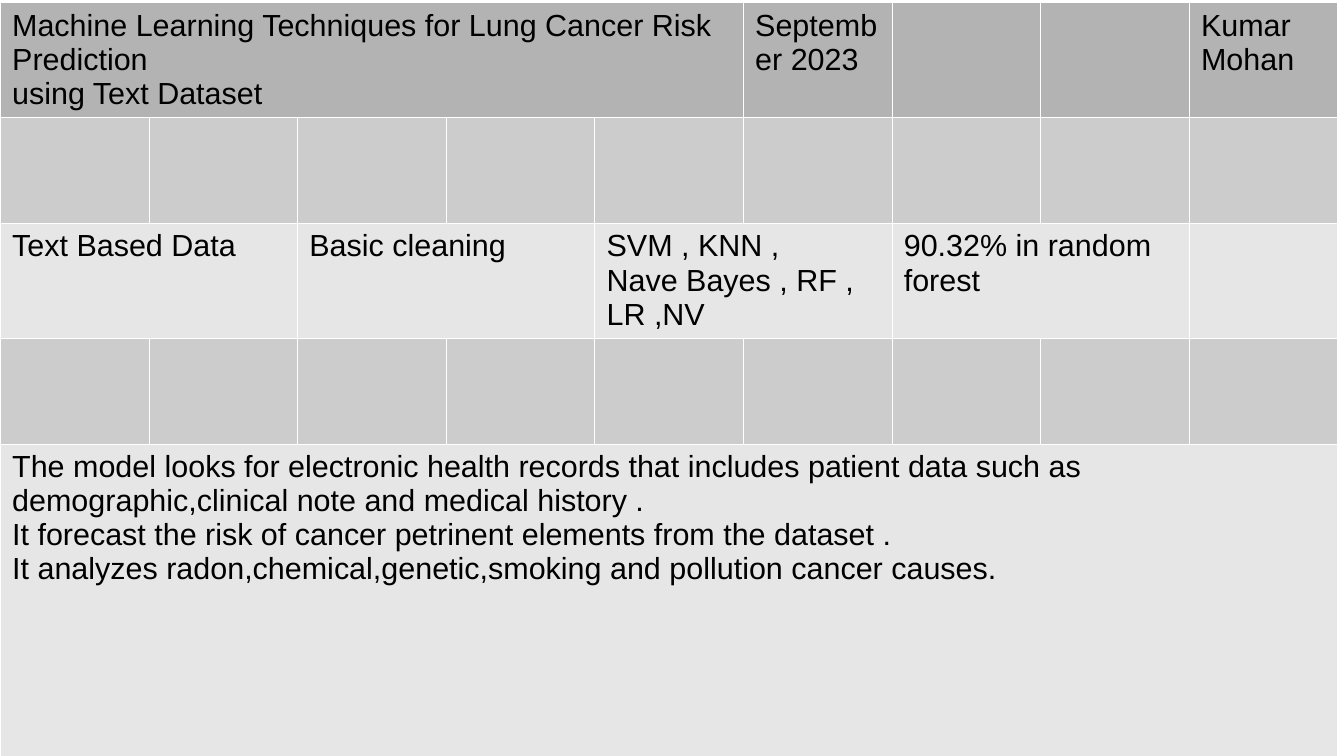
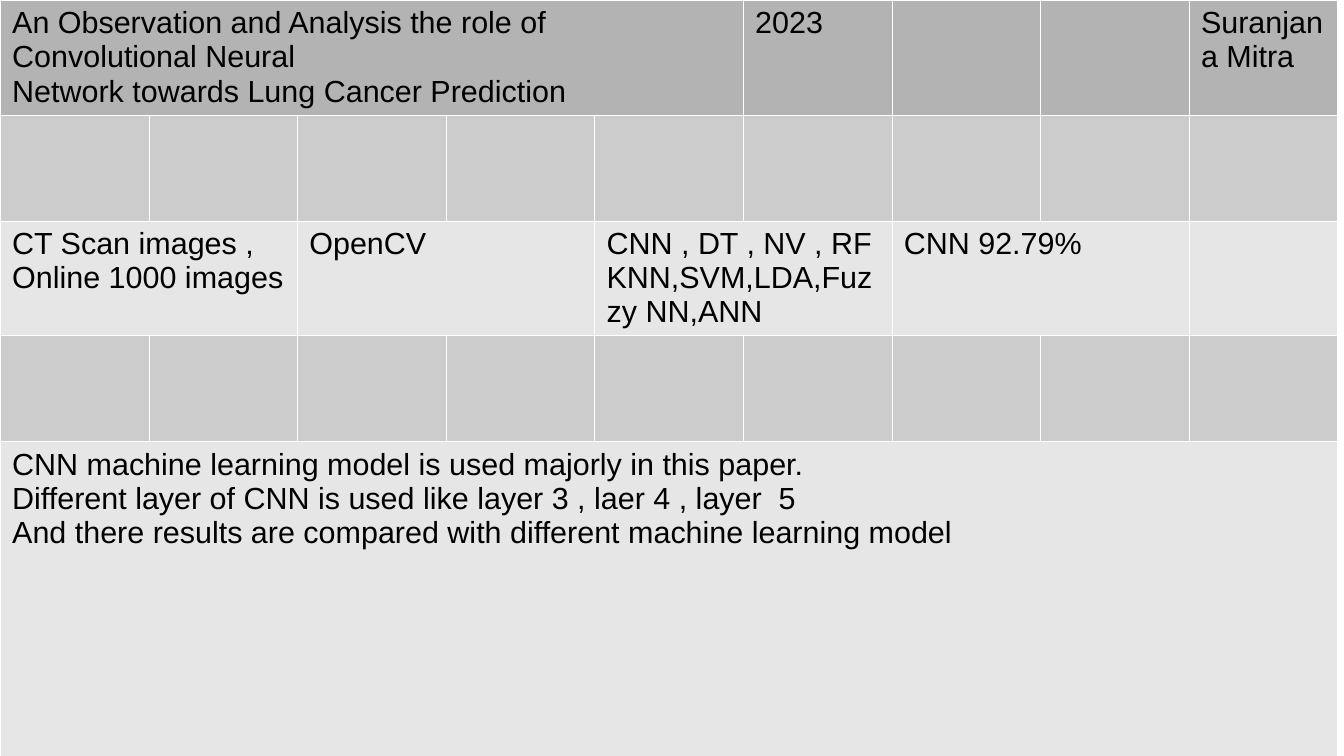
from dataclasses import dataclass

from lxml.etree import SubElement
from pptx import Presentation
from pptx.dml.color import RGBColor
from pptx.oxml.ns import qn
from pptx.slide import Slide
from pptx.table import Table, _Cell
from pptx.util import Inches, Pt

SLIDE_W, SLIDE_H = 11.02, 6.2
TABLE_W, COLUMNS = 10.97, 9
TEXT, BORDER = "000000", "FFFFFF"
HEAD, GAP, BODY = "B3B3B3", "CCCCCC", "E6E6E6"
BORDER_PT = 0.06
FONT = {"name": "Arial", "size": Pt(18), "bold": False}
MARGINS = {"margin_left": Inches(0.1), "margin_right": Inches(0.1),
           "margin_top": Inches(0.05), "margin_bottom": Inches(0.05)}


@dataclass(frozen=True)
class Band:
    """A table row: its height, fill and the column span of each cell."""
    height: float
    fill: str
    spans: tuple[int, ...]


@dataclass(frozen=True)
class Paper:
    top: float
    title: str
    date: str
    author: str
    data: str
    cleaning: str
    models: str
    result: str
    summary: str

    def rows(self) -> list[list[str]]:
        """Cell texts, one list for each band."""
        blank = [""] * COLUMNS
        return [
            [self.title, self.date, "", "", self.author],
            blank,
            [self.data, self.cleaning, self.models, self.result, ""],
            blank,
            [self.summary],
        ]


SPACER = Band(0.87, GAP, (1,) * COLUMNS)
BANDS = [
    Band(0.87, HEAD, (5, 1, 1, 1, 1)),
    SPACER,
    Band(0.87, BODY, (2, 2, 2, 2, 1)),
    SPACER,
    Band(2.62, BODY, (COLUMNS,)),
]

PAPERS = [
    Paper(
        top=0.02,
        title="Machine Learning Techniques for Lung Cancer Risk Prediction\n"
              "using Text Dataset",
        date="September 2023",
        author="Kumar Mohan",
        data="Text Based Data",
        cleaning="Basic cleaning",
        models="SVM , KNN ,\nNave Bayes , RF , LR ,NV",
        result="90.32% in random forest",
        summary="The model looks for electronic health records that includes "
                "patient data such as demographic,clinical note and medical history .\n"
                "It forecast the risk of cancer petrinent elements from the dataset .\n"
                "It analyzes radon,chemical,genetic,smoking and pollution cancer causes.",
    ),
    Paper(
        top=0,
        title="An Observation and Analysis the role of Convolutional Neural\n"
              "Network towards Lung Cancer Prediction",
        date="2023",
        author="Suranjana Mitra",
        data="CT Scan images ,\nOnline 1000 images",
        cleaning="OpenCV",
        models="CNN , DT , NV , RF\nKNN,SVM,LDA,Fuzzy NN,ANN",
        result="CNN 92.79%",
        summary="CNN machine learning model is used majorly in this paper.\n"
                "Different layer of CNN is used like layer 3 , laer 4 , layer  5\n"
                "And there results are compared with different machine learning model",
    ),
]


def rgb(color: str) -> RGBColor:
    return RGBColor.from_string(color)


def set_all(target: object, values: dict) -> None:
    for name, value in values.items():
        setattr(target, name, value)


def style_cell(cell: _Cell, fill: str) -> None:
    """Borders go in before the fill, as the schema asks."""
    set_all(cell, MARGINS)
    tc_pr = cell._tc.get_or_add_tcPr()
    for side in ("a:lnL", "a:lnR", "a:lnT", "a:lnB"):
        line = SubElement(tc_pr, qn(side), w=str(int(Pt(BORDER_PT))))
        SubElement(SubElement(line, qn("a:solidFill")), qn("a:srgbClr"), val=BORDER)
    cell.fill.solid()
    cell.fill.fore_color.rgb = rgb(fill)


def write_cell(cell: _Cell, text: str) -> None:
    cell.text = text
    for p in cell.text_frame.paragraphs:
        for r in p.runs:
            set_all(r.font, FONT)
            r.font.color.rgb = rgb(TEXT)


def fill_band(table: Table, row: int, band: Band, texts: list[str]) -> None:
    table.rows[row].height = Inches(band.height)
    for col in range(COLUMNS):
        style_cell(table.cell(row, col), band.fill)
    col = 0
    for span, text in zip(band.spans, texts):
        cell = table.cell(row, col)
        if span > 1:
            cell.merge(table.cell(row, col + span - 1))
        if text:
            write_cell(cell, text)
        col += span


def add_paper(s: Slide, paper: Paper) -> None:
    height = sum(band.height for band in BANDS)
    table = s.shapes.add_table(len(BANDS), COLUMNS, 0, Inches(paper.top),
                               Inches(TABLE_W), Inches(height)).table
    set_all(table, {"first_row": False, "horz_banding": False})
    for row, (band, texts) in enumerate(zip(BANDS, paper.rows())):
        fill_band(table, row, band, texts)


def main() -> None:
    prs = Presentation()
    set_all(prs, {"slide_width": Inches(SLIDE_W), "slide_height": Inches(SLIDE_H)})
    for paper in PAPERS:
        add_paper(prs.slides.add_slide(prs.slide_layouts[6]), paper)
    prs.save("out.pptx")


if __name__ == "__main__":
    main()
